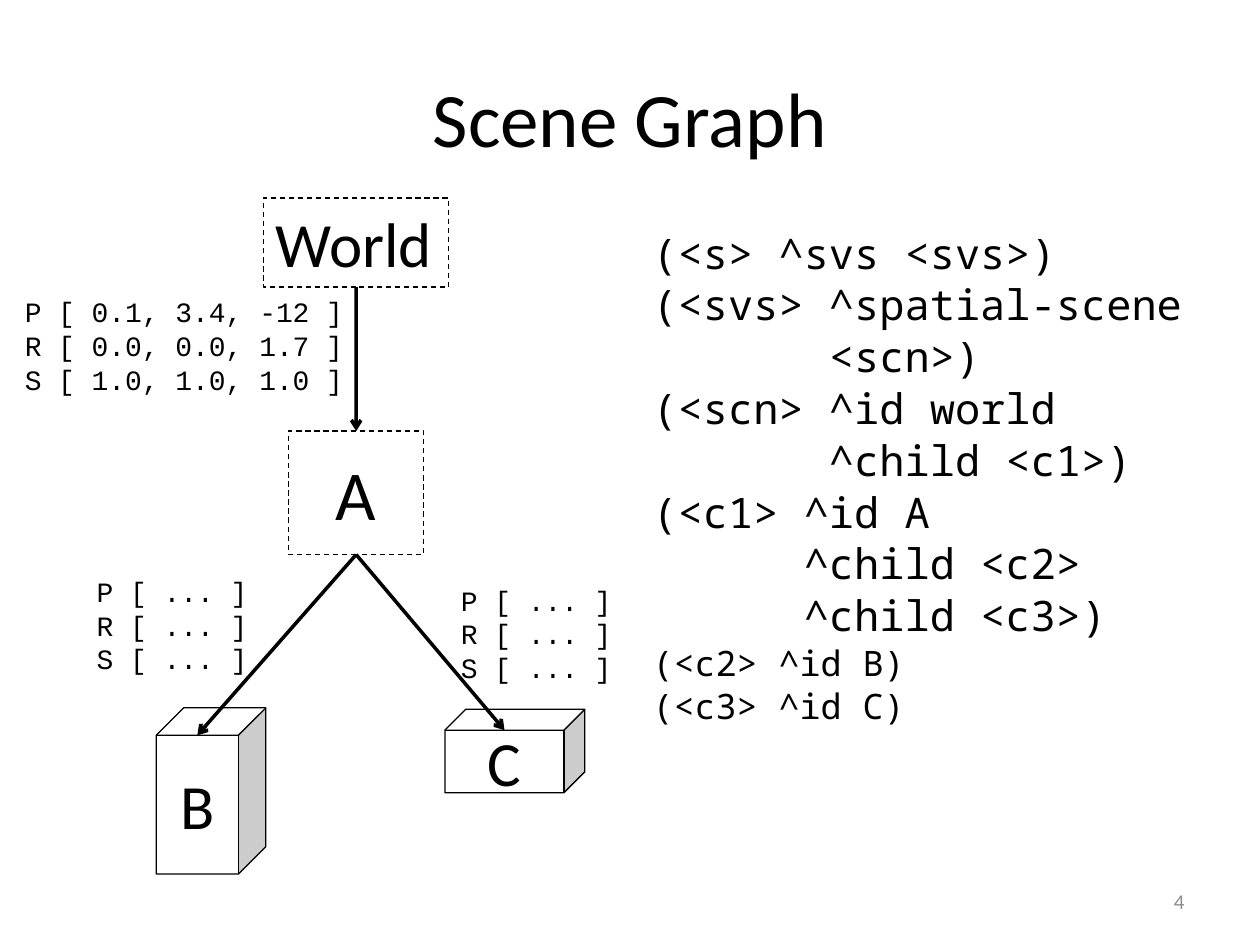
from dataclasses import dataclass

from lxml import etree
from pptx import Presentation
from pptx.dml.color import RGBColor
from pptx.enum import dml, shapes, text
from pptx.oxml import ns
from pptx.util import Cm, Pt


@dataclass(frozen=True)
class Theme:
    black: RGBColor = RGBColor(0, 0, 0)
    white: RGBColor = RGBColor(255, 255, 255)
    grey: RGBColor = RGBColor(0x8C, 0x8C, 0x8C)
    sans: str = "Calibri"
    code: str = "Noto Sans Mono"
    label: str = "Courier New"
    title_size: int = 44
    root_size: int = 36
    group_size: int = 40
    code_size: int = 24
    small_code_size: int = 20
    label_size: int = 16
    number_size: int = 12


THEME = Theme()
CUBE_DEPTH = 0.25

CODE_LINES = [
    "(<s> ^svs <svs>)",
    "(<svs> ^spatial-scene",
    "       <scn>)",
    "(<scn> ^id world",
    "       ^child <c1>)",
    "(<c1> ^id A",
    "      ^child <c2>",
    "      ^child <c3>)",
]
LEAF_LINES = ["(<c2> ^id B)", "(<c3> ^id C)"]
WORLD_TRANSFORM = "P [ 0.1, 3.4, -12 ]\nR [ 0.0, 0.0, 1.7 ]\nS [ 1.0, 1.0, 1.0 ]"
CHILD_TRANSFORM = "P [ ... ]\nR [ ... ]\nS [ ... ]"


def box(left, top, width, height):
    return Cm(left), Cm(top), Cm(width), Cm(height)


def place(shape, bounds):
    shape.left, shape.top, shape.width, shape.height = bounds


def format_text(paragraph, font, size, color=THEME.black, align=None):
    paragraph.alignment = align
    for run in paragraph.runs:
        run.font.name = font
        run.font.size = Pt(size)
        run.font.color.rgb = color


def set_title(slide, title):
    shape = slide.shapes.title
    place(shape, box(1.27, 0.76, 22.86, 3.18))
    shape.text_frame.text = title
    format_text(shape.text_frame.paragraphs[0], THEME.sans, THEME.title_size,
                align=text.PP_ALIGN.CENTER)


def set_code(slide):
    """Fill the body placeholder with unbulleted code, the leaf lines smaller."""
    body = slide.placeholders[1]
    place(body, box(12.9, 4.45, 11.23, 12.57))
    frame = body.text_frame
    frame.auto_size = text.MSO_AUTO_SIZE.NONE
    frame.text = "\n".join(CODE_LINES + LEAF_LINES)
    for index, paragraph in enumerate(frame.paragraphs):
        properties = paragraph._p.get_or_add_pPr()
        properties.set("marL", "0")
        properties.set("indent", "0")
        etree.SubElement(properties, ns.qn("a:buNone"))
        paragraph.space_before = Pt(0.8 if index else 0)
        is_leaf = index >= len(CODE_LINES)
        size = THEME.small_code_size if is_leaf else THEME.code_size
        format_text(paragraph, THEME.code, size)


def add_node(slide, kind, name, bounds, size):
    node = slide.shapes.add_shape(kind, *bounds)
    node.shadow.inherit = False
    node.fill.solid()
    node.fill.fore_color.rgb = THEME.white
    node.line.color.rgb = THEME.black
    node.line.width = Pt(0.75)
    frame = node.text_frame
    frame.word_wrap = False
    frame.vertical_anchor = text.MSO_ANCHOR.MIDDLE
    frame.margin_left = frame.margin_right = 0
    frame.margin_top = frame.margin_bottom = 0
    frame.text = name
    format_text(frame.paragraphs[0], THEME.sans, size, align=text.PP_ALIGN.CENTER)
    return node


def add_group_node(slide, name, bounds, size):
    node = add_node(slide, shapes.MSO_SHAPE.RECTANGLE, name, bounds, size)
    node.line.dash_style = dml.MSO_LINE.DASH
    return node


def add_root_node(slide, name, bounds):
    """Add an unfilled dashed box that fits its left-aligned name."""
    node = add_group_node(slide, name, bounds, THEME.root_size)
    node.fill.background()
    frame = node.text_frame
    frame.auto_size = text.MSO_AUTO_SIZE.SHAPE_TO_FIT_TEXT
    frame.vertical_anchor = text.MSO_ANCHOR.TOP
    frame.margin_left = frame.margin_right = Cm(0.25)
    frame.margin_top = frame.margin_bottom = Cm(0.13)
    frame.paragraphs[0].alignment = text.PP_ALIGN.LEFT
    return node


def add_cube(slide, name, bounds):
    cube = add_node(slide, shapes.MSO_SHAPE.CUBE, name, bounds, THEME.root_size)
    cube.adjustments[0] = CUBE_DEPTH
    return cube


def cube_front_top(cube):
    """Return the middle of the upper edge of the cube's front face."""
    depth = CUBE_DEPTH * min(cube.width, cube.height)
    return int(cube.left + (cube.width - depth) / 2), int(cube.top + depth)


def add_arrow(slide, parent, end):
    """Draw an arrow from the bottom of the parent box to a point."""
    start = parent.left + parent.width // 2, parent.top + parent.height
    arrow = slide.shapes.add_connector(shapes.MSO_CONNECTOR.STRAIGHT, *start, *end)
    arrow.begin_connect(parent, 2)
    arrow.line.color.rgb = THEME.black
    arrow.line.width = Pt(2)
    etree.SubElement(arrow.line._get_or_add_ln(), ns.qn("a:tailEnd"), type="arrow")
    etree.SubElement(arrow._element.spPr, ns.qn("a:effectLst"))
    return arrow


def add_label(slide, content, bounds):
    frame = slide.shapes.add_textbox(*bounds).text_frame
    frame.word_wrap = False
    frame.auto_size = text.MSO_AUTO_SIZE.SHAPE_TO_FIT_TEXT
    frame.text = content
    for paragraph in frame.paragraphs:
        format_text(paragraph, THEME.label, THEME.label_size)


def add_slide_number(slide, number):
    frame = slide.shapes.add_textbox(*box(18.21, 17.65, 5.92, 1.02)).text_frame
    frame.word_wrap = True
    frame.vertical_anchor = text.MSO_ANCHOR.MIDDLE
    frame.text = number
    format_text(frame.paragraphs[0], THEME.sans, THEME.number_size, THEME.grey,
                text.PP_ALIGN.RIGHT)


def add_scene_graph(slide):
    cubes = [
        add_cube(slide, "B", box(3.15, 14.27, 2.21, 3.35)),
        add_cube(slide, "C", box(8.97, 14.3, 2.82, 1.68)),
    ]
    group = add_group_node(slide, "A", box(5.82, 8.69, 2.72, 2.49), THEME.group_size)
    for cube in cubes:
        add_arrow(slide, group, cube_front_top(cube))
    world = add_root_node(slide, "World", box(5.31, 3.99, 3.74, 1.8))
    arrow = add_arrow(slide, world, (group.left + group.width // 2, group.top))
    arrow.end_connect(group, 0)

    add_label(slide, WORLD_TRANSFORM, box(0.25, 5.82, 7.01, 2.31))
    for left, top in [(1.7, 11.46), (9.04, 11.63)]:
        add_label(slide, CHILD_TRANSFORM, box(left, top, 3.58, 2.31))


def main():
    presentation = Presentation()
    presentation.slide_width, presentation.slide_height = Cm(25.4), Cm(19.05)
    slide = presentation.slides.add_slide(presentation.slide_layouts[1])
    set_title(slide, "Scene Graph")
    set_code(slide)
    add_slide_number(slide, "4")
    add_scene_graph(slide)
    presentation.save("out.pptx")


if __name__ == "__main__":
    main()
